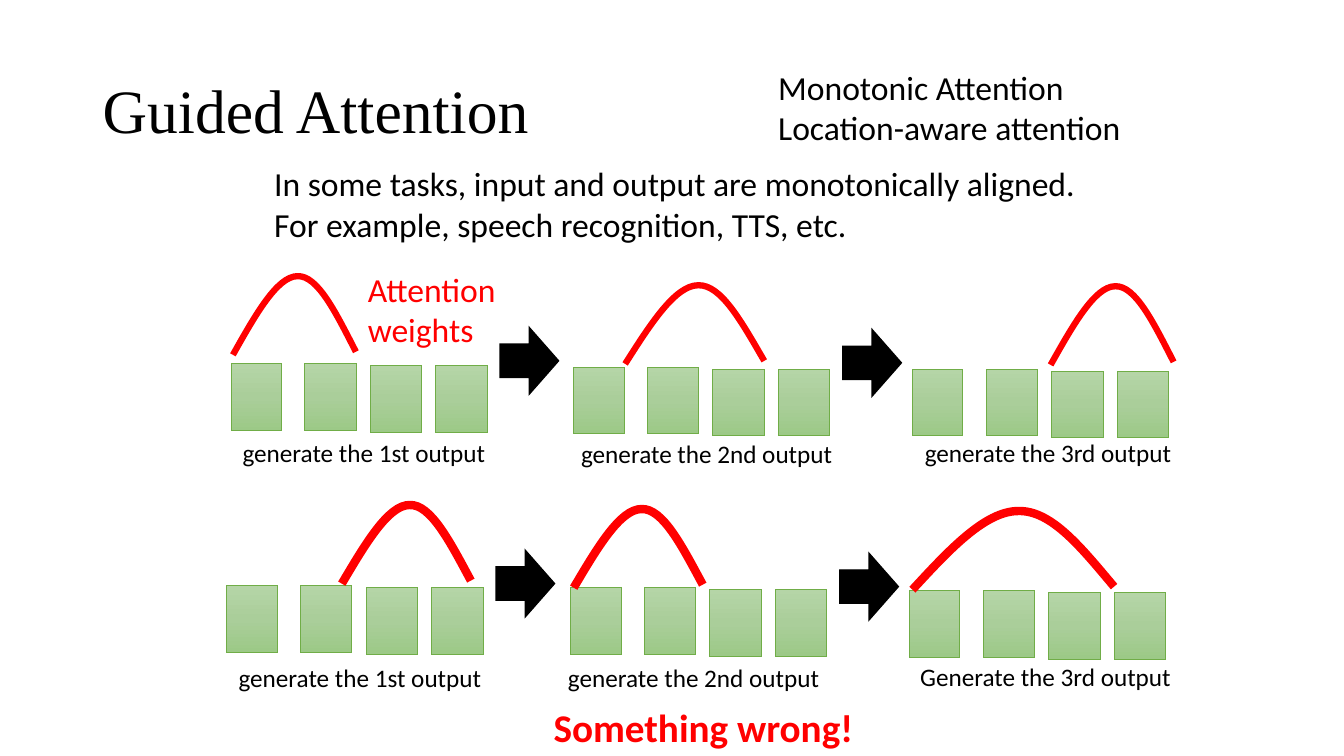
import copy

import lxml.etree
import pptx
import pptx.dml.color
import pptx.enum.shapes
import pptx.enum.text
import pptx.oxml.ns
import pptx.util
from pptx.util import Inches

RGBColor = pptx.dml.color.RGBColor
BLACK = RGBColor(0x00, 0x00, 0x00)
RED = RGBColor(0xFF, 0x00, 0x00)
GREEN_TOP = RGBColor(0xB5, 0xD5, 0xA7)
GREEN_MIDDLE = RGBColor(0xAA, 0xCE, 0x9A)
GREEN_BOTTOM = RGBColor(0x9C, 0xC9, 0x87)
GREEN_LINE = RGBColor(0x70, 0xAD, 0x47)

CENTER = pptx.enum.text.PP_ALIGN.CENTER
MIDDLE = pptx.enum.text.MSO_ANCHOR.MIDDLE
FIT_SHAPE = pptx.enum.text.MSO_AUTO_SIZE.SHAPE_TO_FIT_TEXT
SHAPES = pptx.enum.shapes.MSO_SHAPE

# Tokens of a group: offset from its left and top, width
TOKENS = ((0, 0, 0.5), (0.73, 0, 0.51), (1.38, 0.02, 0.51), (2.03, 0.02, 0.51))

# Bezier points after the start: x as a share of the width, y in inches
CURVE_POINTS = (
    (0.18, -0.39), (0.36, -0.78), (0.525, -0.78),
    (0.69, -0.79), (0.84, -0.41), (1, -0.03),
)

# Token group: left, top
TOKEN_GROUPS = (
    (2.29, 3.61), (5.69, 3.64), (9.05, 3.66),
    (2.25, 5.81), (5.66, 5.83), (9.02, 5.86),
)
# Caption: text, left, top, width
CAPTIONS = (
    ("generate the 1st output", 1.86, 4.29, 3.5),
    ("generate the 2nd output", 5.46, 4.3, 3.1),
    ("generate the 3rd output", 8.86, 4.29, 3.07),
    ("generate the 1st output", 2.08, 6.52, 2.98),
    ("generate the 2nd output", 5.33, 6.52, 3.1),
    ("Generate the 3rd output", 8.88, 6.51, 2.98),
)
# Arrow: left, top
ARROWS = ((4.96, 3.25), (8.36, 3.27), (4.92, 5.46), (8.33, 5.49))
# Curve: start x, start y, width, line weight
CURVES = (
    (2.31, 3.52, 1.22, 4.5), (6.2, 3.61, 1.38, 4.5), (10.42, 3.62, 1.22, 4.5),
    (3.39, 5.79, 1.28, 6), (5.69, 5.83, 1.28, 6), (9.05, 5.85, 2, 6),
)


def add_text(slide, lines, left, top, width, height, size=24, color=BLACK,
             font_name="Calibri", bold=None, alignment=None):
    box = slide.shapes.add_textbox(Inches(left), Inches(top), Inches(width), Inches(height))
    frame = box.text_frame
    frame.word_wrap = True
    frame.auto_size = FIT_SHAPE
    frame.text = "\n".join(lines)
    for paragraph in frame.paragraphs:
        paragraph.alignment = alignment
        paragraph.font.name = font_name
        paragraph.font.size = pptx.util.Pt(size)
        paragraph.font.bold = bold
        paragraph.font.color.rgb = color
    return frame


def add_title(slide, text):
    frame = add_text(slide, [text], 0.92, 0.4, 11.5, 1.45, size=44,
                     font_name="Times New Roman")
    frame.auto_size = pptx.enum.text.MSO_AUTO_SIZE.NONE
    frame.vertical_anchor = MIDDLE
    frame.paragraphs[0].line_spacing = 0.9


def set_line(shape, color, weight):
    """Give the shape an outline with mitred corners."""
    shape.line.color.rgb = color
    shape.line.width = pptx.util.Pt(weight)
    outline = shape.line.fill._xPr
    miter = lxml.etree.SubElement(outline, pptx.oxml.ns.qn("a:miter"))
    miter.set("lim", "800000")


def fill_green(shape):
    """Fill the shape from top to bottom with three green stops."""
    shape.fill.gradient()
    shape.fill.gradient_angle = 270
    first_stop = shape.fill._xPr.find(".//" + pptx.oxml.ns.qn("a:gs"))
    middle_stop = copy.deepcopy(first_stop)
    first_stop.addnext(middle_stop)
    stops = zip(shape.fill.gradient_stops, (0, 0.5, 1),
                (GREEN_TOP, GREEN_MIDDLE, GREEN_BOTTOM))
    for stop, position, color in stops:
        stop.position = position
        stop.color.rgb = color


def add_token_group(slide, left, top):
    group = slide.shapes.add_group_shape()
    for offset_x, offset_y, width in TOKENS:
        token = group.shapes.add_shape(
            SHAPES.RECTANGLE, Inches(left + offset_x), Inches(top + offset_y),
            Inches(width), Inches(0.66))
        token.shadow.inherit = False
        fill_green(token)
        set_line(token, GREEN_LINE, 0.5)


def add_arrow(slide, left, top):
    arrow = slide.shapes.add_shape(
        SHAPES.RIGHT_ARROW, Inches(left), Inches(top), Inches(0.58), Inches(0.66))
    arrow.shadow.inherit = False
    arrow.fill.solid()
    arrow.fill.fore_color.rgb = BLACK
    set_line(arrow, BLACK, 1)


def bend_segments(shape):
    """Turn each three line segments of the outline into one Bezier piece."""
    segments = shape._element.findall(".//" + pptx.oxml.ns.qn("a:lnTo"))
    for first in range(0, len(segments), 3):
        bezier = lxml.etree.Element(pptx.oxml.ns.qn("a:cubicBezTo"))
        segments[first].addprevious(bezier)
        for segment in segments[first:first + 3]:
            bezier.append(segment[0])
            segment.getparent().remove(segment)


def add_weight_curve(slide, start_x, start_y, width, weight):
    builder = slide.shapes.build_freeform(Inches(start_x), Inches(start_y))
    builder.add_line_segments(
        [(Inches(start_x + width * share), Inches(start_y + rise))
         for share, rise in CURVE_POINTS], close=False)
    curve = builder.convert_to_shape()
    bend_segments(curve)
    curve.shadow.inherit = False
    curve.fill.background()
    set_line(curve, RED, weight)


def main():
    presentation = pptx.Presentation()
    presentation.slide_width = Inches(13.33)
    presentation.slide_height = Inches(7.5)
    slide = presentation.slides.add_slide(presentation.slide_layouts[6])

    add_title(slide, "Guided Attention")
    for group in TOKEN_GROUPS:
        add_token_group(slide, *group)
    for text, left, top, width in CAPTIONS:
        add_text(slide, [text], left, top, width, 0.4, size=18, alignment=CENTER)
    for arrow in ARROWS:
        add_arrow(slide, *arrow)
    for curve in CURVES:
        add_weight_curve(slide, *curve)

    add_text(slide, ["Monotonic Attention", "Location-aware attention"],
             7.62, 0.61, 4.1, 0.91)
    add_text(slide, ["In some tasks, input and output are monotonically aligned. "
                     "For example, speech recognition, TTS, etc."],
             2.62, 1.57, 8.31, 0.91)
    add_text(slide, ["Attention weights"], 3.55, 2.62, 1.63, 0.91, color=RED)
    add_text(slide, ["Something wrong!"], 5.03, 6.93, 3.89, 0.57, size=28,
             color=RED, bold=True, alignment=CENTER)

    presentation.save("out.pptx")


if __name__ == "__main__":
    main()
